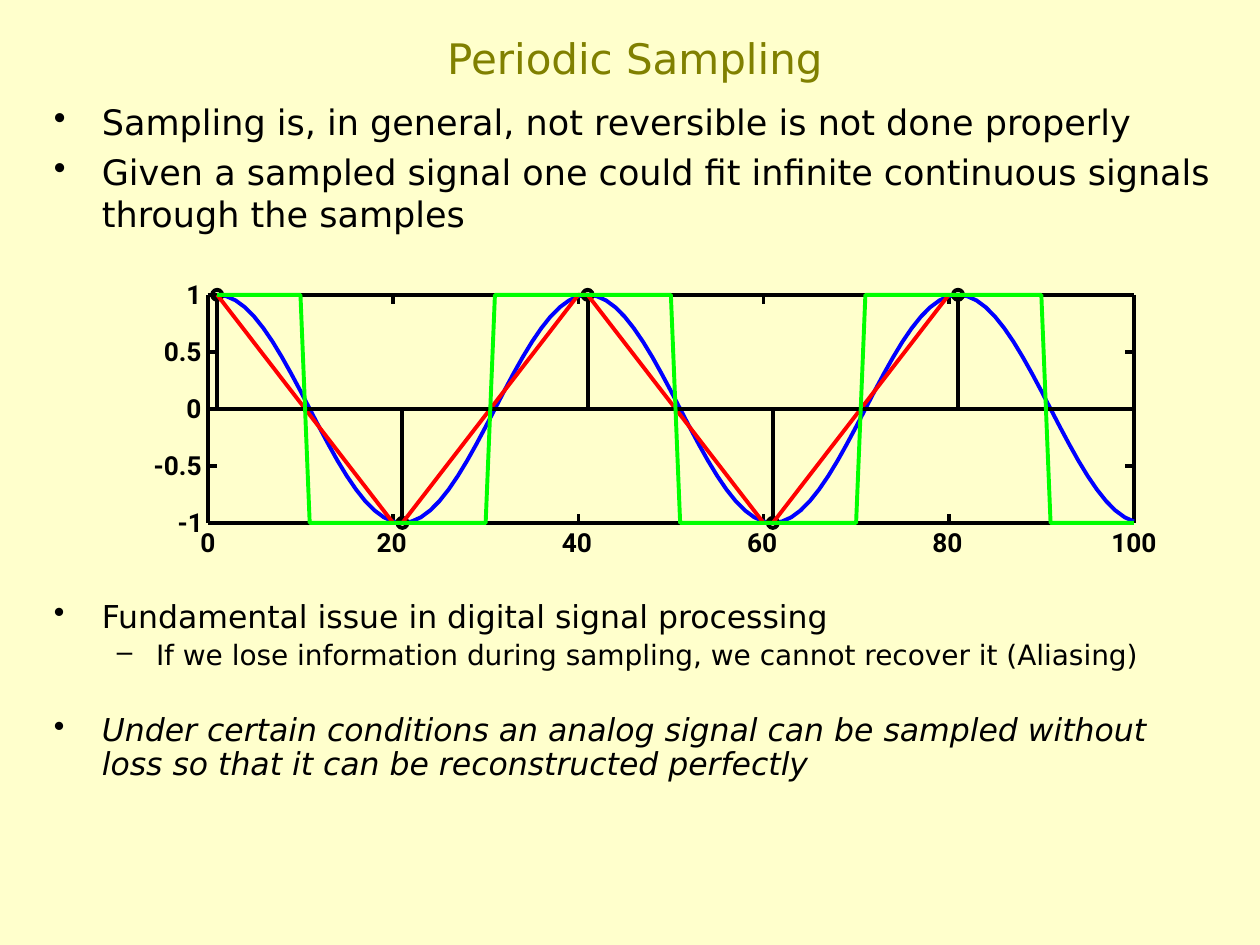
import math

import pptx
import pptx.dml.color
import pptx.enum.shapes
import pptx.enum.text
import pptx.oxml
import pptx.oxml.ns
import pptx.util
from pptx.util import Inches

CREAM = pptx.dml.color.RGBColor(0xFF, 0xFF, 0xCC)
OLIVE = pptx.dml.color.RGBColor(0x80, 0x80, 0x00)
BLACK = pptx.dml.color.RGBColor(0x00, 0x00, 0x00)
WHITE = pptx.dml.color.RGBColor(0xFF, 0xFF, 0xFF)
BLUE = pptx.dml.color.RGBColor(0x00, 0x00, 0xFF)
RED = pptx.dml.color.RGBColor(0xFF, 0x00, 0x00)
GREEN = pptx.dml.color.RGBColor(0x00, 0xFF, 0x00)

TEXT_FONT, AXIS_FONT = "DejaVu Sans", "Roboto"
HAIRLINE, CURVE = 0, 2.25

# Plot area, for samples 0 to 100 and amplitudes -1 to 1
LEFT, TOP, WIDTH, HEIGHT = 1.65, 2.34, 7.35, 1.81
RIGHT, BOTTOM = LEFT + WIDTH, TOP + HEIGHT
TICK = 0.07
DOT = 0.08
PERIOD = 40

# Axis value, label, label offset from the tick or label left, label width
X_LABELS = [(0, "0", 0.06, 0.24), (20, "20", 0.13, 0.37), (40, "40", 0.13, 0.37),
            (60, "60", 0.13, 0.37), (80, "80", 0.13, 0.37), (100, "100", 0.18, 0.5)]
Y_LABELS = [(-1, "-1", 1.41, 0.32), (-0.5, "-0.5", 1.22, 0.52), (0, "0", 1.48, 0.24),
            (0.5, "0.5", 1.3, 0.44), (1, "1", 1.48, 0.24)]


def x_at(sample):
    return LEFT + WIDTH * sample / 100


def y_at(value):
    return TOP + HEIGHT * (1 - value) / 2


def triangle(sample):
    """Falls for 20 samples, then rises for 20, holding each peak twice."""
    step = (sample - 1) % PERIOD
    return 1 - 2 * min(step, PERIOD - 1 - step) / 19


def cosine(sample):
    return math.cos(2 * math.pi * (sample - 1) / PERIOD)


def square(sample):
    return 1 if (sample + 9) // 20 % 2 == 0 else -1


def add_text_box(page, left, top, width, height):
    box = page.shapes.add_textbox(Inches(left), Inches(top), Inches(width), Inches(height))
    box.text_frame.word_wrap = True
    return box


def add_span(para, text, size, color=BLACK, font=TEXT_FONT, bold=False, italic=False):
    span = para.add_run()
    span.text = text
    span.font.size = pptx.util.Pt(size)
    span.font.name = font
    span.font.bold = bold
    span.font.italic = italic
    span.font.color.rgb = color


def add_bullets(page, top, height, items, line_spacing=1.0):
    """Each item is text, size, level, space before and italic."""
    frame = add_text_box(page, 0.33, top, 9.42, height).text_frame
    for index, (text, size, level, space, italic) in enumerate(items):
        para = frame.paragraphs[0] if index == 0 else frame.add_paragraph()
        para.level = level
        para.line_spacing = line_spacing
        para.space_before = pptx.util.Pt(space)
        margin, indent, mark = [(0.38, -0.38, "•"), (0.81, -0.31, "–")][level]
        properties = para._p.get_or_add_pPr()
        properties.set("marL", str(Inches(margin)))
        properties.set("indent", str(Inches(indent)))
        bullet = pptx.oxml.parse_xml(
            f'<a:buChar {pptx.oxml.ns.nsdecls("a")} char="{mark}"/>')
        properties.append(bullet)
        add_span(para, text, size, italic=italic)


def add_axis_label(page, text, left, top, width):
    frame = add_text_box(page, left, top, width, 0.32).text_frame
    frame.word_wrap = False
    frame.auto_size = pptx.enum.text.MSO_AUTO_SIZE.SHAPE_TO_FIT_TEXT
    frame.margin_left = frame.margin_right = 0
    frame.margin_top = frame.margin_bottom = 0
    add_span(frame.paragraphs[0], text, 15, font=AXIS_FONT, bold=True)


def set_line(shape, color, weight):
    shape.line.color.rgb = color
    shape.line.width = pptx.util.Pt(weight)


def add_line(page, x1, y1, x2, y2, weight=HAIRLINE):
    line = page.shapes.add_connector(
        pptx.enum.shapes.MSO_CONNECTOR.STRAIGHT,
        Inches(x1), Inches(y1), Inches(x2), Inches(y2))
    set_line(line, BLACK, weight)
    line._element.spPr.append(
        pptx.oxml.parse_xml(f'<a:effectLst {pptx.oxml.ns.nsdecls("a")}/>'))
    return line


def add_outline(page, kind, left, top, width, height, color, weight):
    shape = page.shapes.add_shape(
        kind, Inches(left), Inches(top), Inches(width), Inches(height))
    shape.shadow.inherit = False
    shape.fill.background()
    set_line(shape, color, weight)
    return shape


def add_curve(page, signal, last, color):
    points = [(Inches(x_at(sample)), Inches(y_at(signal(sample))))
              for sample in range(1, last + 1)]
    builder = page.shapes.build_freeform(*points[0])
    builder.add_line_segments(points[1:], close=False)
    curve = builder.convert_to_shape()
    curve.shadow.inherit = False
    curve.fill.background()
    set_line(curve, color, CURVE)


def add_axes(page):
    frame = add_outline(page, pptx.enum.shapes.MSO_SHAPE.RECTANGLE,
                        LEFT, TOP, WIDTH, HEIGHT, WHITE, HAIRLINE)
    for y in (TOP, BOTTOM):
        add_line(page, LEFT, y, RIGHT, y)
    for x in (LEFT, RIGHT):
        add_line(page, x, BOTTOM, x, TOP)
    for sample, text, offset, width in X_LABELS:
        x = x_at(sample)
        add_line(page, x, BOTTOM, x, BOTTOM - TICK)
        add_line(page, x, TOP, x, TOP + TICK)
        add_axis_label(page, text, x - offset, BOTTOM + 0.03, width)
    for value, text, left, width in Y_LABELS:
        y = y_at(value)
        left_tick = add_line(page, LEFT, y, LEFT + TICK, y)
        right_tick = add_line(page, RIGHT, y, RIGHT - TICK, y)
        if value == 0:
            left_tick.begin_connect(frame, 1)
            right_tick.begin_connect(frame, 3)
        add_axis_label(page, text, left, y - 0.13, width)
    return frame


def add_plot(page):
    frame = add_axes(page)
    add_curve(page, cosine, 100, BLUE)

    # Samples at every half period
    for sample in range(1, 100, PERIOD // 2):
        x, y = x_at(sample), y_at(square(sample))
        add_outline(page, pptx.enum.shapes.MSO_SHAPE.OVAL,
                    x - DOT / 2, y - DOT / 2, DOT, DOT, BLACK, CURVE)
        add_line(page, x, y_at(0), x, y, CURVE)

    # Other signals through the same samples
    add_curve(page, triangle, 80, RED)
    zero_line = add_line(page, x_at(1), y_at(0), RIGHT, y_at(0), CURVE)
    zero_line.end_connect(frame, 3)
    add_curve(page, square, 100, GREEN)


def add_title(page, text):
    frame = add_text_box(page, 0.33, 0.25, 9.42, 0.42).text_frame
    frame.vertical_anchor = pptx.enum.text.MSO_ANCHOR.MIDDLE
    frame.paragraphs[0].alignment = pptx.enum.text.PP_ALIGN.CENTER
    add_span(frame.paragraphs[0], text, 24, OLIVE)


def main():
    deck = pptx.Presentation()
    deck.slide_width, deck.slide_height = Inches(10), Inches(7.5)
    page = deck.slides.add_slide(deck.slide_layouts[6])
    page.background.fill.solid()
    page.background.fill.fore_color.rgb = CREAM

    add_title(page, "Periodic Sampling")
    add_bullets(page, 0.75, 1.29, [
        ("Sampling is, in general, not reversible is not done properly", 20, 0, 0, False),
        ("Given a sampled signal one could fit infinite continuous signals "
         "through the samples", 20, 0, 4.7, False)])
    add_plot(page)
    add_bullets(page, 4.72, 1.73, [
        ("Fundamental issue in digital signal processing", 18, 0, 0, False),
        ("If we lose information during sampling, we cannot recover it (Aliasing)",
         16, 1, 3.7, False),
        ("Under certain conditions an analog signal can be sampled without loss "
         "so that it can be reconstructed perfectly", 18, 0, 24.5, True)], 0.9)
    deck.save("out.pptx")


if __name__ == "__main__":
    main()
